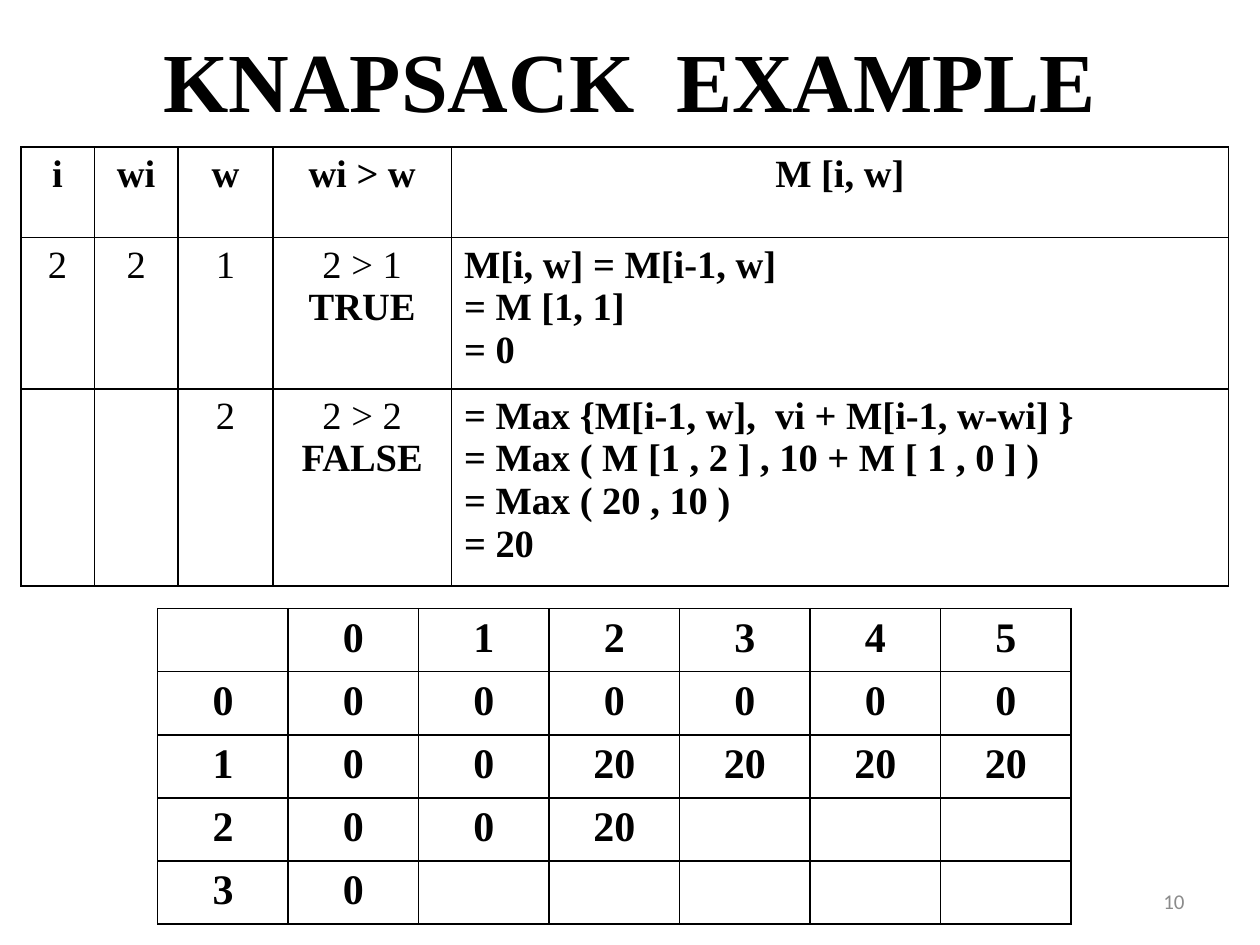
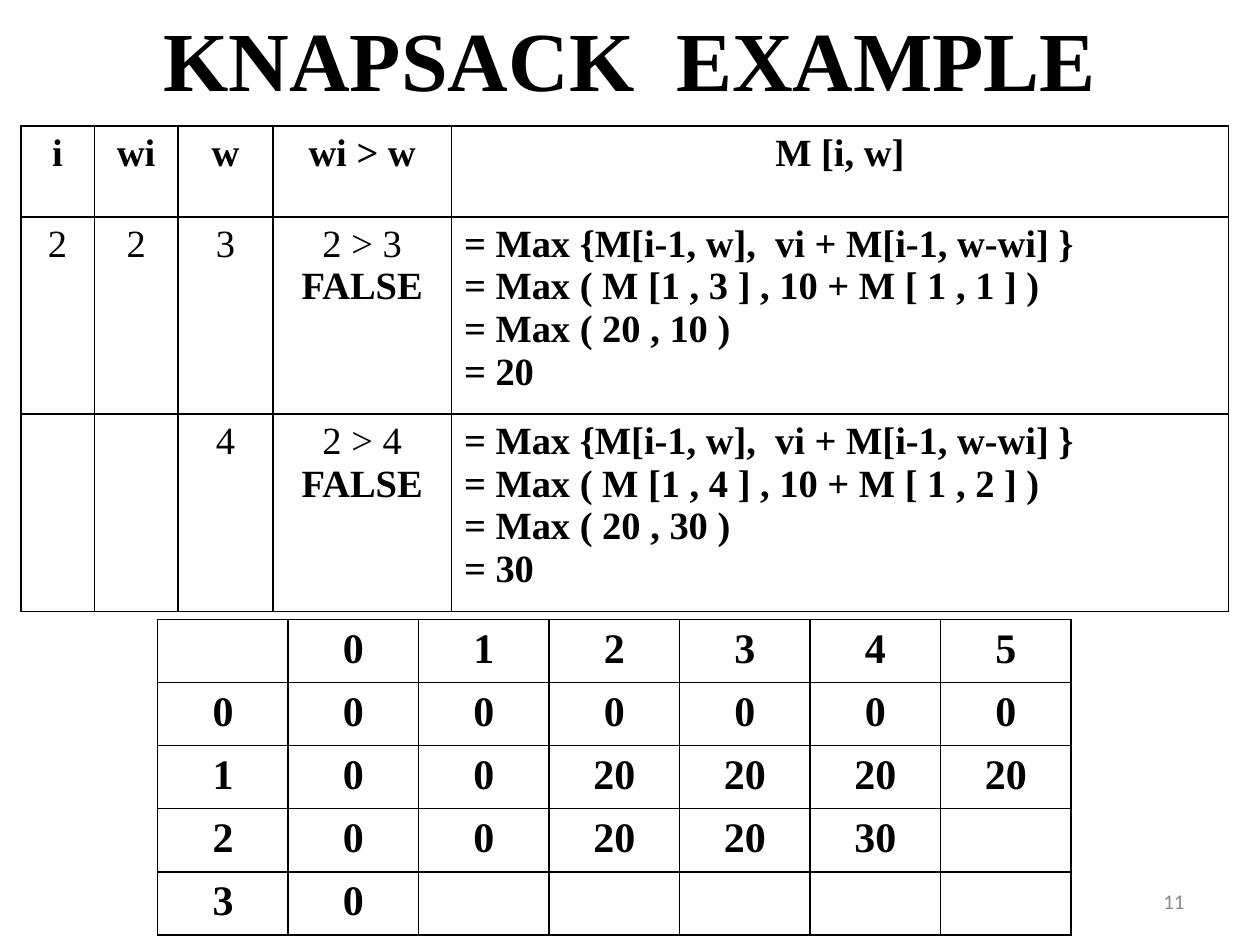
from dataclasses import dataclass

from lxml import etree
from pptx import Presentation
from pptx.dml.color import RGBColor
from pptx.enum.text import MSO_ANCHOR, PP_ALIGN
from pptx.oxml.ns import qn
from pptx.slide import Slide
from pptx.table import Table, _Cell
from pptx.text.text import _Paragraph
from pptx.util import Cm, Pt

BLACK = RGBColor(0x00, 0x00, 0x00)
GREY = RGBColor(0x8B, 0x8B, 0x8B)
CENTER, LEFT, RIGHT = PP_ALIGN.CENTER, PP_ALIGN.LEFT, PP_ALIGN.RIGHT
MIDDLE = MSO_ANCHOR.MIDDLE

SERIF = "Times New Roman"
TITLE_FONT = {"name": SERIF, "size": Pt(48), "bold": True}
NUMBER_FONT = {"name": "Calibri", "size": Pt(12), "bold": False}
TRACE_FONT = {"name": SERIF, "size": Pt(22), "bold": False}
TRACE_BOLD = {**TRACE_FONT, "bold": True}
GRID_FONT = {"name": SERIF, "size": Pt(24), "bold": True}

TITLE_HEIGHT = 2.75
TRACE_LEFT = 0.42
TRACE_HEADER = ("i", "wi", "w", "wi > w", "M [i, w]")
TRACE_WIDTHS = [1.48, 1.69, 1.91, 3.6, 15.66]
HEADER_HEIGHT = 1.83
HEIGHT_BY_LINES = {3: 3.0, 4: 3.93}

GRID_LEFT = 3.18
GRID_WIDTHS = [2.63] * 7
GRID_HEIGHTS = [1.27] * 5
BORDER_SIDES = ("a:lnL", "a:lnR", "a:lnT", "a:lnB")

ITEM, ITEM_WEIGHT = 2, 2
MAX_RULE = "= Max {M[i-1, w],  vi + M[i-1, w-wi] }"


@dataclass
class Step:
    capacity: int
    working: list[str]


@dataclass
class Example:
    number: int
    title_top: float
    grid_top: float
    steps: list[Step]
    item_row: list[str]


EXAMPLES = [
    Example(10, 0.21, 12.27, [
        Step(1, ["M[i, w] = M[i-1, w]", "= M [1, 1]", "= 0"]),
        Step(2, [MAX_RULE, "= Max ( M [1 , 2 ] , 10 + M [ 1 , 0 ] )",
                 "= Max ( 20 , 10 )", "= 20"]),
    ], ["2", "0", "0", "20", "", "", ""]),
    Example(11, -0.21, 12.49, [
        Step(3, [MAX_RULE, "= Max ( M [1 , 3 ] , 10 + M [ 1 , 1 ] )",
                 "= Max ( 20 , 10 )", "= 20"]),
        Step(4, [MAX_RULE, "= Max ( M [1 , 4 ] , 10 + M [ 1 , 2 ] )",
                 "= Max ( 20 , 30 )", "= 30"]),
    ], ["2", "0", "0", "20", "20", "30", ""]),
]


def write(paragraph: _Paragraph, text: str, style: dict, align: PP_ALIGN,
          color: RGBColor = BLACK) -> None:
    paragraph.alignment = align
    run = paragraph.add_run()
    run.text = text
    for attribute, value in style.items():
        setattr(run.font, attribute, value)
    run.font.color.rgb = color


def add_label(slide: Slide, bounds: tuple[float, ...], text: str, style: dict,
              align: PP_ALIGN, color: RGBColor = BLACK) -> None:
    frame = slide.shapes.add_textbox(*map(Cm, bounds)).text_frame
    frame.word_wrap = True
    frame.vertical_anchor = MIDDLE
    write(frame.paragraphs[0], text, style, align, color)


def outline(cell: _Cell) -> None:
    """Clear the cell's fill and rule all four sides in black."""
    cell.fill.background()
    properties = cell._tc.get_or_add_tcPr()
    for position, side in enumerate(BORDER_SIDES):
        line = etree.Element(qn(side), w=str(Pt(1)))
        fill = etree.SubElement(line, qn("a:solidFill"))
        etree.SubElement(fill, qn("a:srgbClr"), val=str(BLACK))
        properties.insert(position, line)


def add_ruled_table(slide: Slide, left: float, top: float,
                    widths: list[float], heights: list[float]) -> Table:
    table = slide.shapes.add_table(
        len(heights), len(widths), Cm(left), Cm(top),
        Cm(sum(widths)), Cm(sum(heights))).table
    table.first_row = table.horz_banding = False
    for column, width in zip(table.columns, widths):
        column.width = Cm(width)
    for row, height in zip(table.rows, heights):
        row.height = Cm(height)
    for cell in table.iter_cells():
        outline(cell)
    return table


def fill_cell(cell: _Cell, lines: list[str], styles: list[dict],
              align: PP_ALIGN = CENTER) -> None:
    frame = cell.text_frame
    for index, (line, style) in enumerate(zip(lines, styles)):
        paragraph = frame.add_paragraph() if index else frame.paragraphs[0]
        if line:
            write(paragraph, line, style, align)


def add_memo_grid(slide: Slide, example: Example) -> None:
    rows = [
        ["", *map(str, range(6))],
        ["0"] * 7,
        ["1", "0", "0"] + ["20"] * 4,
        example.item_row,
        ["3", "0"] + [""] * 5,
    ]
    grid = add_ruled_table(slide, GRID_LEFT, example.grid_top,
                           GRID_WIDTHS, GRID_HEIGHTS)
    for cell, value in zip(grid.iter_cells(), sum(rows, [])):
        fill_cell(cell, [value], [GRID_FONT])


def add_trace(slide: Slide, example: Example) -> None:
    """Add the table that works out M[i, w] one capacity at a time."""
    heights = [HEADER_HEIGHT] + [HEIGHT_BY_LINES[len(step.working)]
                                 for step in example.steps]
    trace = add_ruled_table(slide, TRACE_LEFT, example.title_top + TITLE_HEIGHT,
                            TRACE_WIDTHS, heights)
    for column, heading in enumerate(TRACE_HEADER):
        fill_cell(trace.cell(0, column), [heading], [TRACE_BOLD])
    for row, step in enumerate(example.steps, start=1):
        item_cells = [str(ITEM), str(ITEM_WEIGHT)] if row == 1 else ["", ""]
        for column, value in enumerate([*item_cells, str(step.capacity)]):
            fill_cell(trace.cell(row, column), [value], [TRACE_FONT])
        comparison = [f"{ITEM_WEIGHT} > {step.capacity}",
                      str(ITEM_WEIGHT > step.capacity).upper()]
        fill_cell(trace.cell(row, 3), comparison, [TRACE_FONT, TRACE_BOLD])
        fill_cell(trace.cell(row, 4), step.working,
                  [TRACE_BOLD] * len(step.working), LEFT)


def add_example(deck: Presentation, example: Example) -> None:
    slide = deck.slides.add_slide(deck.slide_layouts[6])
    add_label(slide, (1.27, example.title_top, 22.86, TITLE_HEIGHT),
              "KNAPSACK  EXAMPLE", TITLE_FONT, CENTER)
    add_label(slide, (18.2, 17.66, 5.93, 1.01),
              str(example.number), NUMBER_FONT, RIGHT, GREY)
    add_memo_grid(slide, example)
    add_trace(slide, example)


def main() -> None:
    deck = Presentation()
    deck.slide_width, deck.slide_height = Cm(25.4), Cm(19.05)
    for example in EXAMPLES:
        add_example(deck, example)
    deck.save("out.pptx")


if __name__ == "__main__":
    main()
